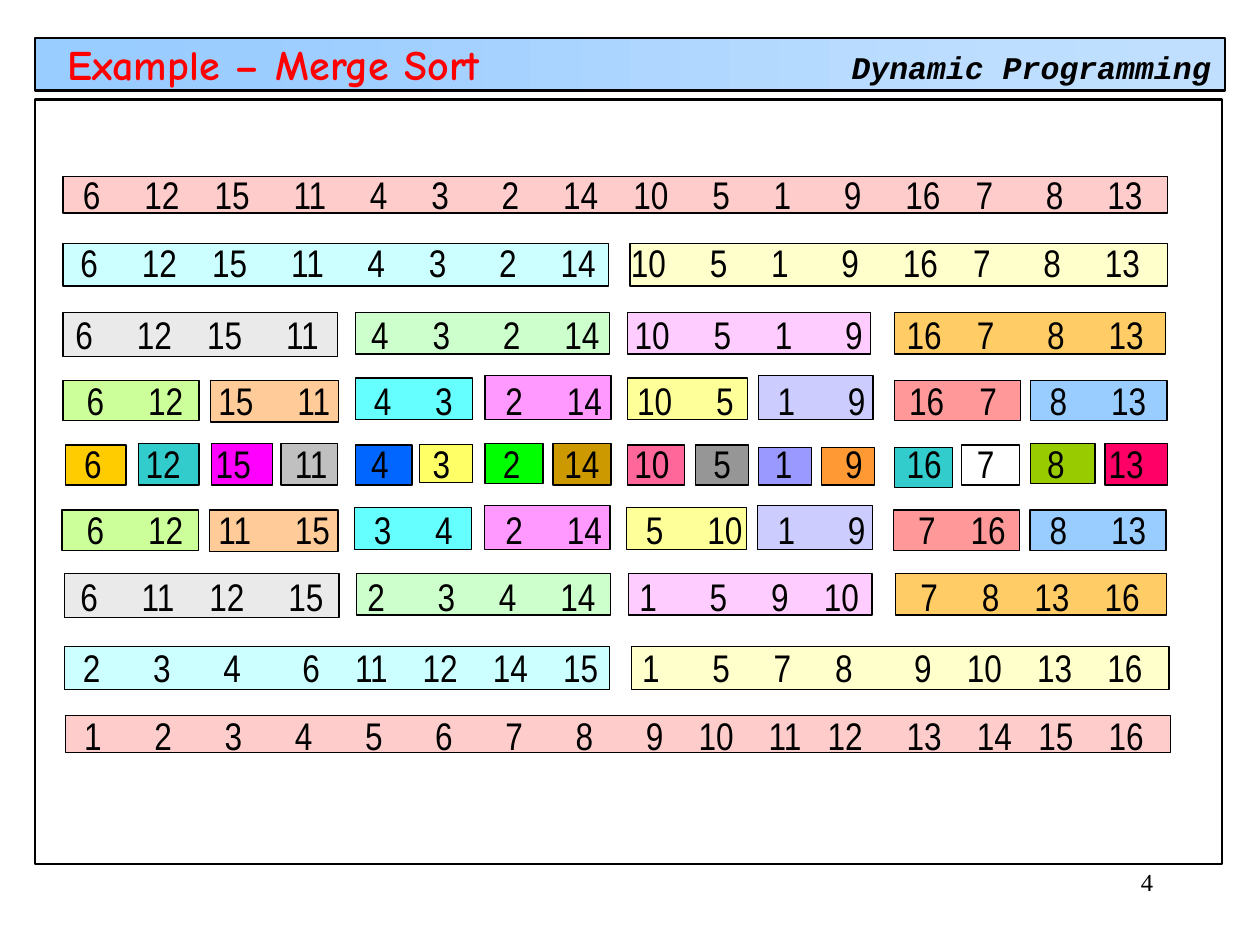
from dataclasses import dataclass
from math import cos, pi
from pptx import Presentation
from pptx.dml.color import RGBColor
from pptx.enum.shapes import MSO_SHAPE
from pptx.enum.text import MSO_ANCHOR, PP_ALIGN
from pptx.oxml.xmlchemy import OxmlElement
from pptx.util import Pt


@dataclass(frozen=True)
class Theme:
    ink: str = "000000"
    title: str = "FF0000"
    start: tuple = (0x99, 0xCC, 0xFF)
    end: tuple = (0xC0, 0xDF, 0xFF)
    full: tuple = ("FFCCCC",)
    halves: tuple = ("CCFFFF", "FFFFCC")
    fours: tuple = ("EAEAEA", "CCFFCC", "FFCCFF", "FFCC66")
    pairs: tuple = ("CCFF99", "FFCC99", "66FFFF", "FF99FF",
                    "FFFF99", "CCCCFF", "FF9999", "99CCFF")
    ones: tuple = ("FFCC00", "33CCCC", "FF00FF", "C0C0C0",
                   "0066FF", "FFFF66", "00FF00", "CC9900",
                   "FF6699", "969696", "9999FF", "FF9933",
                   "33CCCC", None, "99CC00", "FF0066")
    head: int = 24
    cell: int = 22
    topic: int = 18
    page: int = 14
    thin: float = 0.75
    frame: float = 1.25


class Deck:
    def __init__(self, theme):
        self.theme = theme
        self.prs = Presentation()
        self.prs.slide_width, self.prs.slide_height = Pt(720), Pt(540)
        self.slide = self.prs.slides.add_slide(self.prs.slide_layouts[6])

    def rect(self, x, y, w, h, fill=None, line=None):
        box = self.slide.shapes.add_shape(
            MSO_SHAPE.RECTANGLE, Pt(x), Pt(y), Pt(w), Pt(h))
        box.shadow.inherit = False
        if fill:
            box.fill.solid()
            box.fill.fore_color.rgb = RGBColor.from_string(fill)
        else:
            box.fill.background()
        if line:
            box.line.width = Pt(line)
            box.line.color.rgb = RGBColor.from_string(self.theme.ink)
        else:
            box.line.fill.background()

    def text(self, x, y, w, h, words, size, face, color=None, bold=False,
             slant=False, wrap=True):
        box = self.slide.shapes.add_textbox(Pt(x), Pt(y), Pt(w), Pt(h))
        box.text_frame.word_wrap = wrap
        para = box.text_frame.paragraphs[0]
        para.text = words
        font = para.font
        font.size, font.name = Pt(size), face
        font.bold, font.italic = bold, slant
        font.color.rgb = RGBColor.from_string(color or self.theme.ink)
        return box.text_frame

    def row(self, x, y, nums, gaps):
        """One line of numbers; gaps are counted in half digits."""
        size = self.theme.cell
        digit = 0.456 * size
        frame = self.text(x, y, 628, 26, "\t".join(map(str, nums)),
                          size, "Arial Narrow")
        para = frame.paragraphs[0]
        para.space_before = Pt(5.5)
        tabs = OxmlElement("a:tabLst")
        pos = 0
        for num, gap in zip(nums, gaps):
            kern = 1.5 if num == 11 else 0
            pos += (len(str(num)) + int(gap) / 2) * digit - kern
            tab = OxmlElement("a:tab")
            tab.set("pos", str(Pt(pos)))
            tab.set("algn", "l")
            tabs.append(tab)
        # Tab stops must come before the default run style
        props = para._p.get_or_add_pPr()
        props.insert(list(props).index(props.find(
            "{http://schemas.openxmlformats.org/drawingml/2006/main}defRPr")),
            tabs)

    def cells(self, y, spots, fills, dx=0):
        for (x, w, dy, h), fill in zip(spots, fills):
            self.rect(x + dx, y + dy, w, h, fill, self.theme.thin)

    def strips(self, x, y, w, h, count):
        step = w / count
        for i in range(count):
            part = (1 - cos(pi * i / (count - 1))) / 2
            rgb = [round(a + (b - a) * part)
                   for a, b in zip(self.theme.start, self.theme.end)]
            extra = 1 if i < count - 1 else 0
            self.rect(x + i * step, y, step + extra, h, "%02X%02X%02X" % tuple(rgb))
        self.rect(x, y, w, h, line=self.theme.frame)


# Cells of each level: left, width, drop, height
FULL = [(36, 631.4, 0, 20.9)]
HALVES = [(36, 311.8, 0, 24.5), (360, 307.4, 0, 24.5)]
FOURS = [(36, 157, 0, 25.2), (203, 145.4, 0, 23.8),
         (358.6, 139, 0, 23.8), (511.2, 154.8, 0, 23.8)]
PAIRS = [(36, 77.8, 2.8, 23), (120.2, 73.4, 2.8, 23.8),
         (203, 67, 1.4, 23.8), (277.2, 72, 0, 25.2),
         (358.6, 68.4, 1.4, 23.8), (433.4, 65.5, 0, 25.2),
         (511.2, 72, 2.8, 23), (589, 77.8, 2.8, 23)]
ONES = [(37.4, 34.6, 0.8, 23), (79.2, 34.6, 0, 23.8),
        (121, 34.6, 0, 23.8), (160.6, 32.4, 0, 23.8),
        (203, 32.4, 0.8, 23), (239.8, 30.2, 0.8, 21.6),
        (277.2, 33.1, 0, 23), (316.1, 33.1, 0, 23.8),
        (358.6, 32.4, 0.8, 23), (397.4, 30.2, 0.8, 23),
        (433.4, 30.2, 2.2, 21.6), (469.4, 30.2, 2.2, 21.6),
        (511.2, 33.1, 2.2, 23), (549.4, 33.1, 0.8, 23),
        (589, 36.7, 0, 23), (631.4, 36, 0, 23.8)]

NUMS = [6, 12, 15, 11, 4, 3, 2, 14, 10, 5, 1, 9, 16, 7, 8, 13]
GAPS = "545556545565465"


def merge(size):
    """The numbers with every run of this size in order."""
    return [n for i in range(0, len(NUMS), size)
            for n in sorted(NUMS[i:i + size])]


def main():
    theme = Theme()
    deck = Deck(theme)

    # Header and frame
    deck.strips(20.2, 21.6, 679.7, 30.2, 24)
    deck.rect(20.2, 56.9, 678.2, 437, line=theme.frame)
    deck.text(479.5, 23.8, 219.6, 28.8, "Dynamic Programming", theme.topic,
              "Courier New", bold=True, slant=True, wrap=False)
    page = deck.text(570.2, 491.8, 95.8, 36, "4", theme.page, "Times New Roman")
    page.paragraphs[0].alignment = PP_ALIGN.RIGHT
    head = deck.text(31.7, 27.4, 372.2, 18, "Example – Merge Sort", theme.head,
                     "Comic Neue", theme.title, bold=True)
    head.vertical_anchor = MSO_ANCHOR.MIDDLE

    # Rows: cells, fills, cell top, cell shift, text left, text top, run, gaps
    rows = [
        (FULL, theme.full, 100.8, 0, 40.3, 94.3, 1, GAPS),
        (HALVES, theme.halves, 139, 0, 38.9, 133.2, 1, GAPS),
        (FOURS, theme.fours, 178.6, 0, 36, 174.2, 1, "545656545565465"),
        (PAIRS, theme.pairs, 214.6, 0, 42.5, 211.7, 1, GAPS),
        (ONES, theme.ones, 253.4, 0, 41, 247.7, 1, GAPS),
        (PAIRS, theme.pairs, 288.7, -0.5, 42.5, 285.8, 2, "545556555466455"),
        (FOURS, theme.fours, 327.6, 0.7, 38.8, 324, 4, "545565556547544"),
        (HALVES, theme.halves, 369.4, 0.7, 40.3, 364.3, 8, "667444456557444"),
        (FULL, theme.full, 409, 1.4, 41, 403.2, 16, "666666664435434"),
    ]
    for spots, fills, top, shift, left, line, run, gaps in rows:
        deck.cells(top, spots, fills, shift)
        deck.row(left, line, merge(run), gaps)

    deck.prs.save("out.pptx")


if __name__ == "__main__":
    main()
